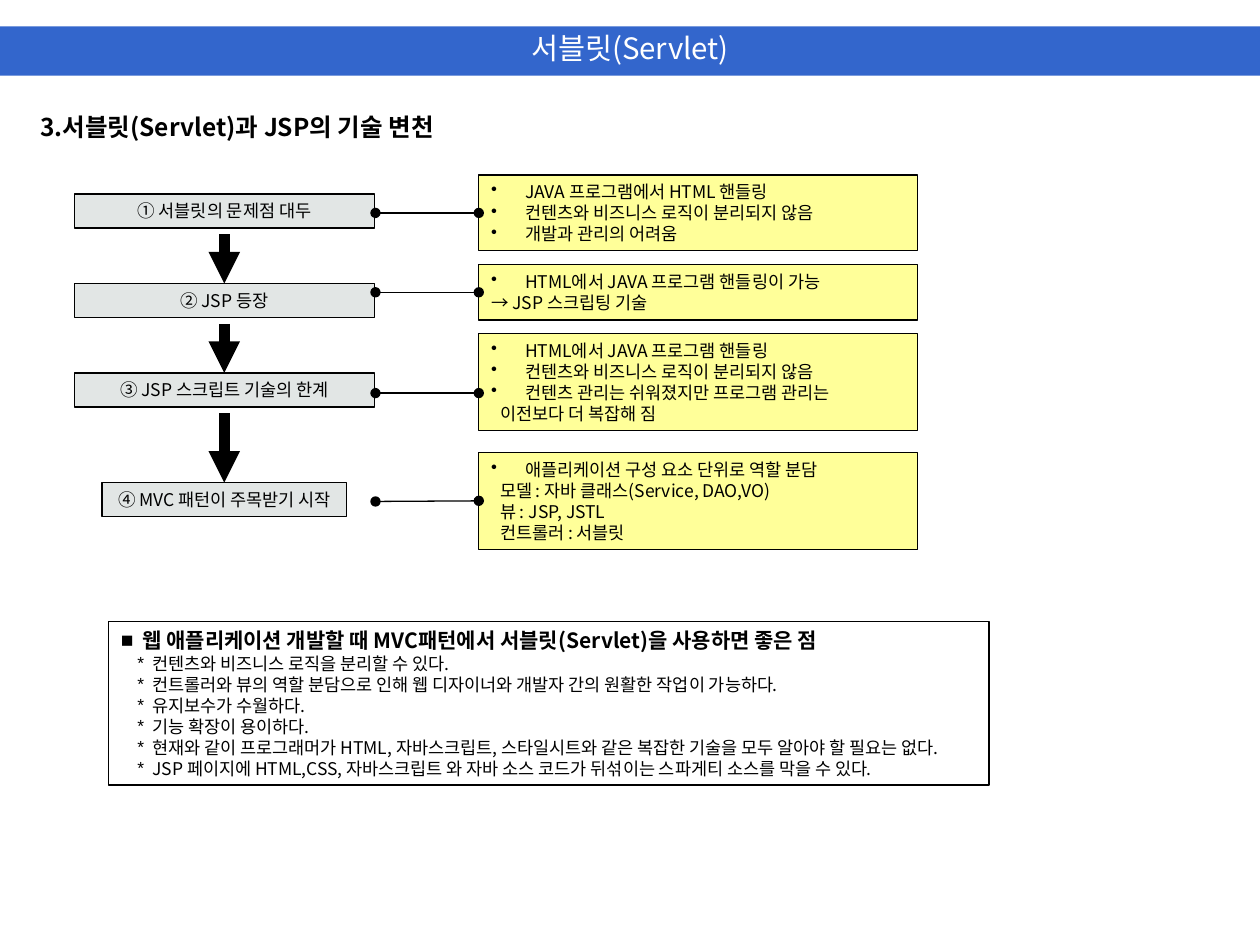
from lxml import etree
from pptx import Presentation
from pptx.dml.color import RGBColor
from pptx.enum.shapes import MSO_CONNECTOR, MSO_SHAPE
from pptx.enum.text import MSO_ANCHOR, MSO_AUTO_SIZE, PP_ALIGN
from pptx.oxml.ns import qn
from pptx.util import Inches, Pt

RECTANGLE = MSO_SHAPE.RECTANGLE
STRAIGHT = MSO_CONNECTOR.STRAIGHT
TOP, MIDDLE = MSO_ANCHOR.TOP, MSO_ANCHOR.MIDDLE
LEFT, CENTER = PP_ALIGN.LEFT, PP_ALIGN.CENTER
FIXED_SIZE = MSO_AUTO_SIZE.NONE
TOP_SIDE, LEFT_SIDE = 0, 1

BLUE = RGBColor(0x33, 0x66, 0xCC)
GRAY = RGBColor(0xE2, 0xE6, 0xE5)
YELLOW = RGBColor(0xFF, 0xFF, 0x99)
BLACK = RGBColor(0, 0, 0)
WHITE = RGBColor(0xFF, 0xFF, 0xFF)
FONT = "Noto Sans CJK KR"

# Paragraph kinds: bullet character, left margin, first-line indent, size, bold
PLAIN = (None, 0, 0, 10, False)
DOT = ("•", 0.27, -0.27, 10, False)
INDENTED = (None, 0.07, 0, 10, False)
HEADING = (None, 0, 0, 14, True)
BANNER = (None, 0, 0, 16.8, False)
SQUARE = ("■", 0.17, -0.17, 12, True)
STAR = ("*", 0.25, -0.12, 10, False)

STEP_LEFT, STEP_WIDTH, STEP_HEIGHT = 0.59, 2.38, 0.27
NOTE_LEFT, NOTE_WIDTH = 3.8, 3.48
LINK_LEFT = 2.98
ARROW_X = STEP_LEFT + STEP_WIDTH / 2
ARROW_GAP = 0.05

# Step text, left, top, width; note top, height, link height, note lines
STAGES = [
    ("① 서블릿의 문제점 대두", STEP_LEFT, 1.54, STEP_WIDTH, 1.39, 0.6, 1.69, [
        ("JAVA 프로그램에서 HTML 핸들링", DOT),
        ("컨텐츠와 비즈니스 로직이 분리되지 않음", DOT),
        ("개발과 관리의 어려움", DOT)]),
    ("② JSP 등장", STEP_LEFT, 2.25, STEP_WIDTH, 2.1, 0.44, 2.32, [
        ("HTML에서 JAVA 프로그램 핸들링이 가능", DOT),
        ("→ JSP 스크립팅 기술", PLAIN)]),
    ("③ JSP 스크립트 기술의 한계", STEP_LEFT, 2.96, STEP_WIDTH, 2.65, 0.77, 3.12, [
        ("HTML에서 JAVA 프로그램 핸들링", DOT),
        ("컨텐츠와 비즈니스 로직이 분리되지 않음", DOT),
        ("컨텐츠 관리는 쉬워졌지만 프로그램 관리는", DOT),
        ("이전보다 더 복잡해 짐", INDENTED)]),
    ("④ MVC 패턴이 주목받기 시작", 0.81, 3.83, 1.94, 3.59, 0.77, 3.98, [
        ("애플리케이션 구성 요소 단위로 역할 분담", DOT),
        ("모델 : 자바 클래스(Service, DAO,VO)", INDENTED),
        ("뷰 : JSP, JSTL", INDENTED),
        ("컨트롤러 : 서블릿", INDENTED)]),
]

ADVANTAGES = [
    ("웹 애플리케이션 개발할 때 MVC패턴에서 서블릿(Servlet)을 사용하면 좋은 점", SQUARE),
    ("컨텐츠와 비즈니스 로직을 분리할 수 있다.", STAR),
    ("컨트롤러와 뷰의 역할 분담으로 인해 웹 디자이너와 개발자 간의 원활한 작업이 가능하다.", STAR),
    ("유지보수가 수월하다.", STAR),
    ("기능 확장이 용이하다.", STAR),
    ("현재와 같이 프로그래머가 HTML, 자바스크립트, 스타일시트와 같은 복잡한 기술을 모두 알아야 할 필요는 없다.", STAR),
    ("JSP 페이지에 HTML,CSS, 자바스크립트 와 자바 소스 코드가 뒤섞이는 스파게티 소스를 막을 수 있다.", STAR),
]


def set_format(target, values):
    for name, value in values.items():
        setattr(target, name, value)


def place(shape, left, top, width, height):
    set_format(shape, {"left": Inches(left), "top": Inches(top),
                       "width": Inches(width), "height": Inches(height)})


def paint(shape, fill=None, outline=None):
    if fill is None:
        shape.fill.background()
    else:
        shape.fill.solid()
        shape.fill.fore_color.rgb = fill
    if outline is None:
        shape.line.fill.background()
    else:
        shape.line.color.rgb = outline
        shape.line.width = Pt(0.75)


def write(shape, lines, align=LEFT, color=BLACK, anchor=TOP, spacing=1.0, wrap=True):
    """Fill a shape with (text, paragraph kind) lines."""
    frame = shape.text_frame
    set_format(frame, {
        "auto_size": FIXED_SIZE, "word_wrap": wrap, "vertical_anchor": anchor,
        "margin_left": Inches(0.1), "margin_right": Inches(0.1),
        "margin_top": Inches(0.05), "margin_bottom": Inches(0.05)})
    for index, (text, kind) in enumerate(lines):
        bullet, margin, indent, size, bold = kind
        paragraph = frame.add_paragraph() if index else frame.paragraphs[0]
        set_format(paragraph, {"alignment": align, "line_spacing": spacing,
                               "space_before": Pt(0), "space_after": Pt(0)})
        properties = paragraph._p.get_or_add_pPr()
        properties.set("marL", str(Inches(margin)))
        properties.set("indent", str(Inches(indent)))
        if bullet:
            etree.SubElement(properties, qn("a:buChar"), char=bullet)
        else:
            etree.SubElement(properties, qn("a:buNone"))
        run = paragraph.add_run()
        run.text = text
        set_format(run.font, {"name": FONT, "size": Pt(size), "bold": bold})
        run.font.color.rgb = color
        etree.SubElement(run._r.get_or_add_rPr(), qn("a:ea"), typeface=FONT)


def add_box(slide, bounds, fill, lines, **text_format):
    box = slide.shapes.add_shape(RECTANGLE, *map(Inches, bounds))
    box.shadow.inherit = False
    paint(box, fill, BLACK)
    write(box, lines, **text_format)
    return box


def add_line(slide, start, end, width, **ends):
    """Draw a straight line; ends maps headEnd and tailEnd to their types."""
    line = slide.shapes.add_connector(STRAIGHT, *map(Inches, start + end))
    line.line.color.rgb = BLACK
    line.line.width = Pt(width)
    properties = line._element.spPr
    for tag, kind in ends.items():
        etree.SubElement(properties.find(qn("a:ln")), qn(f"a:{tag}"), type=kind)
    etree.SubElement(properties, qn("a:effectLst"))
    return line


def add_stages(slide):
    previous_bottom = None
    for step_text, left, top, width, note_top, note_height, link_y, note_lines in STAGES:
        step = add_box(slide, (left, top, width, STEP_HEIGHT), GRAY,
                       [(step_text, PLAIN)], align=CENTER, wrap=left == STEP_LEFT)
        note = add_box(slide, (NOTE_LEFT, note_top, NOTE_WIDTH, note_height),
                       YELLOW, note_lines)
        # Arrow from the step above
        if previous_bottom is not None:
            arrow = add_line(slide, (ARROW_X, previous_bottom + ARROW_GAP),
                             (ARROW_X, top), 6, tailEnd="triangle")
            arrow.end_connect(step, TOP_SIDE)
        previous_bottom = top + STEP_HEIGHT
        # Link to the note, joined where it meets the middle of its side
        link = add_line(slide, (LINK_LEFT, link_y), (NOTE_LEFT, link_y), 0.75,
                        headEnd="oval", tailEnd="oval")
        if abs(link_y - note_top - note_height / 2) < 0.02:
            link.end_connect(note, LEFT_SIDE)


def main():
    presentation = Presentation()
    presentation.slide_width, presentation.slide_height = Inches(10), Inches(7.5)
    slide = presentation.slides.add_slide(presentation.slide_layouts[1])

    # Banner title
    banner = slide.shapes.title
    place(banner, 0, 0.21, 10, 0.39)
    paint(banner, BLUE)
    write(banner, [("서블릿(Servlet)", BANNER)], CENTER, WHITE, MIDDLE, 0.8)

    # Advantages list
    advantages = slide.placeholders[1]
    place(advantages, 0.86, 4.93, 6.99, 1.3)
    paint(advantages, outline=BLACK)
    write(advantages, ADVANTAGES)

    # Section heading
    heading = slide.shapes.add_textbox(*map(Inches, (0.22, 0.84, 3.52, 0.34)))
    write(heading, [("3.서블릿(Servlet)과 JSP의 기술 변천", HEADING)])

    # Steps, notes and their lines
    add_stages(slide)
    presentation.save("out.pptx")


if __name__ == "__main__":
    main()
